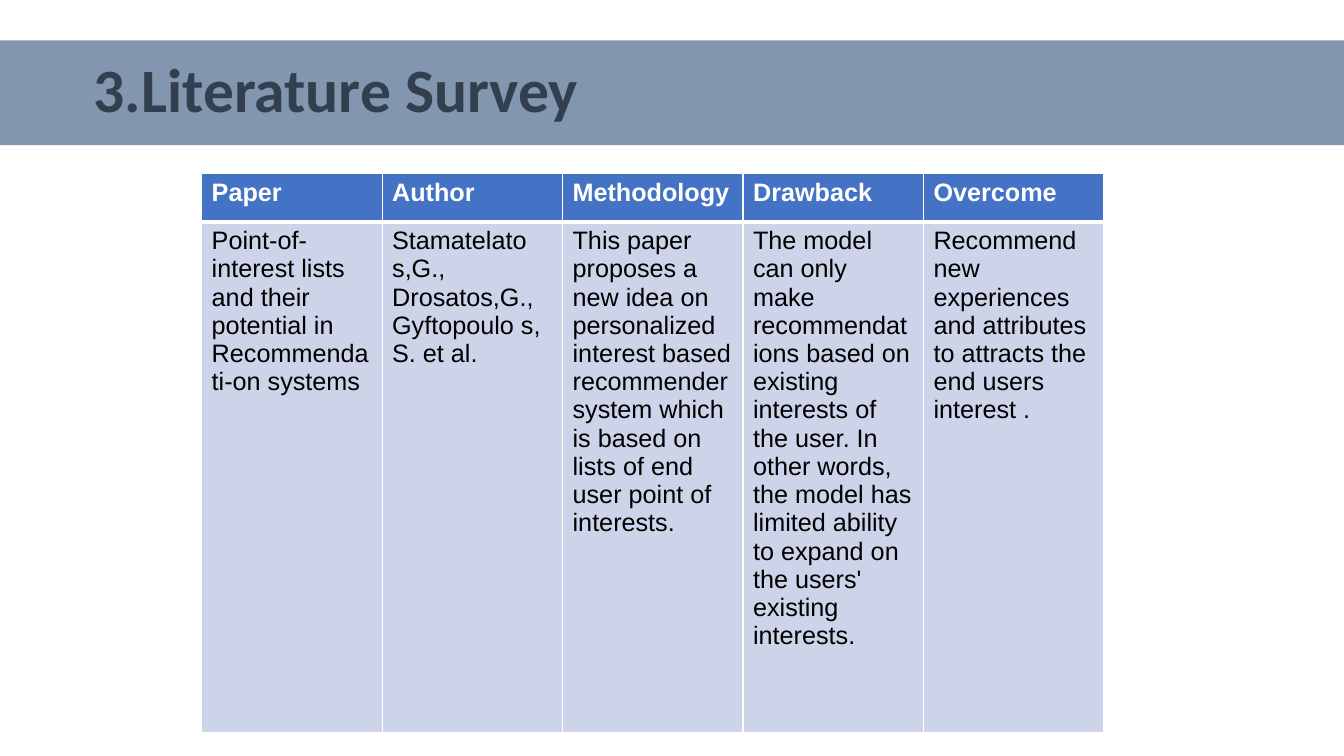
"""Build the literature survey slide with its title band and table."""
from lxml import etree
from pptx import Presentation
from pptx.dml.color import RGBColor
from pptx.enum.text import MSO_ANCHOR, MSO_AUTO_SIZE, PP_ALIGN
from pptx.oxml.ns import qn
from pptx.util import Inches, Pt

LEFT = PP_ALIGN.LEFT
MIDDLE = MSO_ANCHOR.MIDDLE
NO_FIT = MSO_AUTO_SIZE.NONE


def paint(fill, color):
    fill.solid()
    fill.fore_color.rgb = RGBColor.from_string(color)


def style(frame, font, size, color, bold):
    for para in frame.paragraphs:
        para.alignment = LEFT
        for run in para.runs:
            run.font.name = font
            run.font.size = Pt(size)
            run.font.bold = bold
            paint(run.font.fill, color)


deck = Presentation()
deck.slide_width = Inches(13.33)
deck.slide_height = Inches(7.5)
slide = deck.slides.add_slide(deck.slide_layouts[5])

title = slide.shapes.title
title.left, title.top = Inches(0), Inches(0.4)
title.width, title.height = Inches(13.33), Inches(1.04)
paint(title.fill, "8296B0")
frame = title.text_frame
frame.text = "3.Literature Survey"
frame.auto_size = NO_FIT
frame.word_wrap = True
frame.vertical_anchor = MIDDLE
frame.margin_left = Inches(0.93)
frame.paragraphs[0].line_spacing = 0.9
style(frame, "Calibri", 44, "323F4F", True)

survey = {
    "Paper": "Point-of-interest lists and their potential in\n"
             "Recommendati-on systems",
    "Author": "Stamatelato s,G., Drosatos,G., Gyftopoulo s, S. et al.",
    "Methodology": "This paper proposes a new idea on personalized interest "
                   "based recommender system which is based on lists of end "
                   "user point of interests.",
    "Drawback": "The model can only make recommendat ions based on existing "
                "interests of the user. In other words, the model has limited "
                "ability to expand on the users' existing interests.",
    "Overcome": "Recommend new experiences and attributes to attracts the "
                "end users interest .",
}
looks = [("4472C4", "FFFFFF", True), ("CDD4EA", "000000", False)]
edges = [
    {"lnL": 1, "lnR": 1, "lnT": 1, "lnB": 3},
    {"lnL": 1, "lnR": 1, "lnT": 3, "lnB": 1},
]

table = slide.shapes.add_table(
    2, len(survey), Inches(2), Inches(1.72), Inches(8.95), Inches(5.55)).table
for row, height in zip(table.rows, (0.48, 5.07)):
    row.height = Inches(height)
for col in table.columns:
    col.width = Inches(1.79)

for c, pair in enumerate(survey.items()):
    for r, text in enumerate(pair):
        back, ink, bold = looks[r]
        cell = table.cell(r, c)
        cell.text_frame.text = text
        style(cell.text_frame, "Arial", 18, ink, bold)
        paint(cell.fill, back)
        props = cell._tc.get_or_add_tcPr()
        for i, (edge, width) in enumerate(edges[r].items()):
            line = etree.Element(qn("a:" + edge), w=str(Pt(width)))
            solid = etree.SubElement(line, qn("a:solidFill"))
            etree.SubElement(solid, qn("a:srgbClr"), val="FFFFFF")
            props.insert(i, line)

deck.save("out.pptx")
